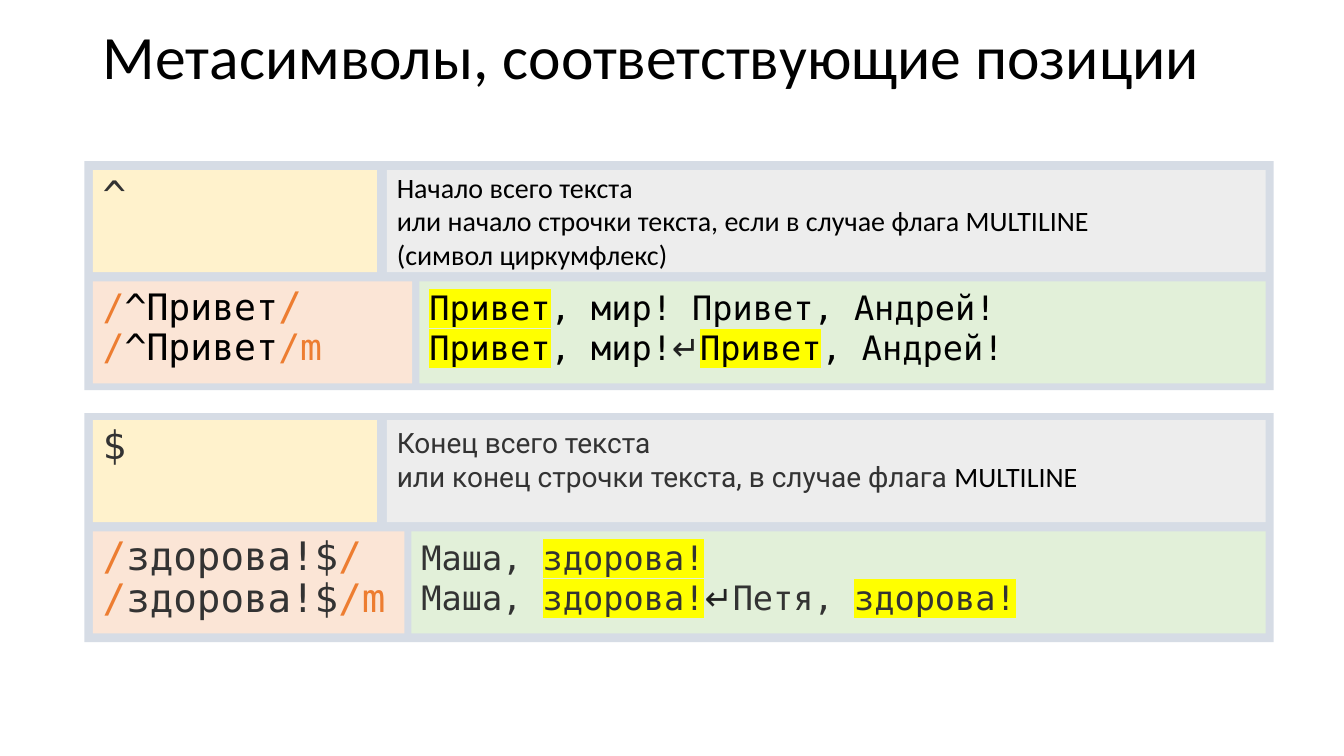
import pptx
import pptx.dml.color
import pptx.enum.shapes
import pptx.enum.text
import pptx.oxml
import pptx.oxml.ns
import pptx.util
from pptx.util import Cm

THEME = {
    "panel": "D6DCE5", "symbol": "FFF2CC", "description": "EDEDED",
    "pattern": "FBE5D6", "example": "E2F0D9", "highlight": "FFFF00",
    # run style: font, size, colour, highlighted
    "styles": {
        "title": ("Calibri", 44, "000000", False),
        "symbol": ("DejaVu Sans Mono", 28, "333333", False),
        "plain": ("Calibri", 20, "000000", False),
        "grey": ("Roboto", 20, "333333", False),
        "slash": ("DejaVu Sans Mono", 26, "ED7D31", False),
        "regex": ("DejaVu Sans Mono", 26, "000000", False),
        "big slash": ("DejaVu Sans Mono", 28, "ED7D31", False),
        "code": ("DejaVu Sans Mono", 24, "000000", False),
        "match": ("DejaVu Sans Mono", 24, "000000", True),
        "grey code": ("DejaVu Sans Mono", 24, "333333", False),
        "grey match": ("DejaVu Sans Mono", 24, "333333", True),
        "return": ("Roboto", 24, "212121", False),
    },
}

TITLE = "Метасимволы, соответствующие позиции"

METACHARACTERS = [
    {
        "panel_top": 4.06, "cells_top": 4.29, "pattern_width": 8.05,
        "description_inset": 0,
        "symbol": [("^", "symbol")],
        "description": [
            ("Начало всего текста\n"
             "или начало строчки текста, если в случае флага MULTILINE\n"
             "(символ циркумфлекс)", "plain")],
        "pattern": [
            ("/", "slash"), ("^Привет", "regex"), ("/\n", "big slash"),
            ("/", "slash"), ("^Привет", "regex"), ("/m", "slash")],
        "example": [
            ("Привет", "match"), (", мир! Привет, Андрей!\n", "code"),
            ("Привет", "match"), (", мир!", "code"), ("↵", "return"),
            ("Привет", "match"), (", Андрей!", "code")],
    },
    {
        "panel_top": 10.41, "cells_top": 10.59, "pattern_width": 7.85,
        "description_inset": 0.13,
        "symbol": [("$", "symbol")],
        "description": [
            ("Конец всего текста\n"
             "или конец строчки текста, в случае флага ", "grey"),
            ("MULTILINE", "plain")],
        "pattern": [
            ("/", "big slash"), ("здорова!$", "symbol"), ("/\n/", "big slash"),
            ("здорова!$", "symbol"), ("/m", "big slash")],
        "example": [
            ("Маша, ", "grey code"), ("здорова!\n", "grey match"),
            ("Маша, ", "grey code"), ("здорова!", "grey match"),
            ("↵", "return"), ("Петя, ", "grey code"),
            ("здорова!", "grey match")],
    },
]

PANEL_LEFT, PANEL_WIDTH, PANEL_HEIGHT = 2.13, 29.97, 5.77
CELLS_LEFT, CELLS_RIGHT = 2.34, 31.9
CELL_HEIGHT, ROW_STEP = 2.57, 2.8
SYMBOL_WIDTH, SYMBOL_GAP, PATTERN_GAP = 7.16, 0.25, 0.18


def rgb(value):
    return pptx.dml.color.RGBColor.from_string(value)


def add_run(paragraph, text, style):
    font_name, size, colour, highlighted = THEME["styles"][style]
    run = paragraph.add_run()
    run.text = text
    run.font.size = pptx.util.Pt(size)
    run.font.color.rgb = rgb(colour)
    if highlighted:
        # The schema places the highlight after the fill and before the font.
        run.font._element.append(pptx.oxml.parse_xml(
            f'<a:highlight {pptx.oxml.ns.nsdecls("a")}>'
            f'<a:srgbClr val="{THEME["highlight"]}"/></a:highlight>'))
    run.font.name = font_name


def write(shape, runs, line_spacing=None, space_before=0, top_inset=0.13):
    """Fill the shape with one left-aligned paragraph of styled runs."""
    frame = shape.text_frame
    frame.word_wrap = True
    frame.vertical_anchor = pptx.enum.text.MSO_ANCHOR.TOP
    frame.margin_left = frame.margin_right = Cm(0.25)
    frame.margin_top, frame.margin_bottom = Cm(top_inset), Cm(0.13)
    paragraph = frame.paragraphs[0]
    paragraph.alignment = pptx.enum.text.PP_ALIGN.LEFT
    paragraph.space_before = pptx.util.Pt(space_before)
    if line_spacing:
        paragraph.line_spacing = line_spacing
    for text, style in runs:
        for index, line in enumerate(text.split("\n")):
            if index:
                paragraph.add_line_break()
            if line:
                add_run(paragraph, line, style)


def add_block(slide, left, top, width, height, fill):
    shape = slide.shapes.add_shape(
        pptx.enum.shapes.MSO_SHAPE.RECTANGLE,
        Cm(left), Cm(top), Cm(width), Cm(height))
    shape.shadow.inherit = False
    shape.fill.solid()
    shape.fill.fore_color.rgb = rgb(THEME[fill])
    shape.line.fill.background()
    return shape


def add_row(slide, top, entry, first, second, first_width, gap, second_inset):
    """Lay out a narrow cell and a wide cell that reaches the right edge."""
    cell = add_block(slide, CELLS_LEFT, top, first_width, CELL_HEIGHT, first)
    write(cell, entry[first], line_spacing=0.9, space_before=10)
    left = CELLS_LEFT + first_width + gap
    cell = add_block(slide, left, top, CELLS_RIGHT - left, CELL_HEIGHT, second)
    write(cell, entry[second], top_inset=second_inset)


def add_metacharacter(slide, entry):
    add_block(slide, PANEL_LEFT, entry["panel_top"],
              PANEL_WIDTH, PANEL_HEIGHT, "panel")
    top = entry["cells_top"]
    add_row(slide, top, entry, "symbol", "description",
            SYMBOL_WIDTH, SYMBOL_GAP, entry["description_inset"])
    add_row(slide, top + ROW_STEP, entry, "pattern", "example",
            entry["pattern_width"], PATTERN_GAP, 0.13)


def main():
    presentation = pptx.Presentation()
    presentation.slide_width, presentation.slide_height = Cm(33.87), Cm(19.05)
    slide = presentation.slides.add_slide(presentation.slide_layouts[6])
    for entry in METACHARACTERS:
        add_metacharacter(slide, entry)
    title = slide.shapes.add_textbox(Cm(CELLS_LEFT), Cm(0.51), Cm(29.21), Cm(1.98))
    write(title, [(TITLE, "title")], line_spacing=0.9)
    title.text_frame.vertical_anchor = pptx.enum.text.MSO_ANCHOR.MIDDLE
    presentation.save("out.pptx")


if __name__ == "__main__":
    main()
